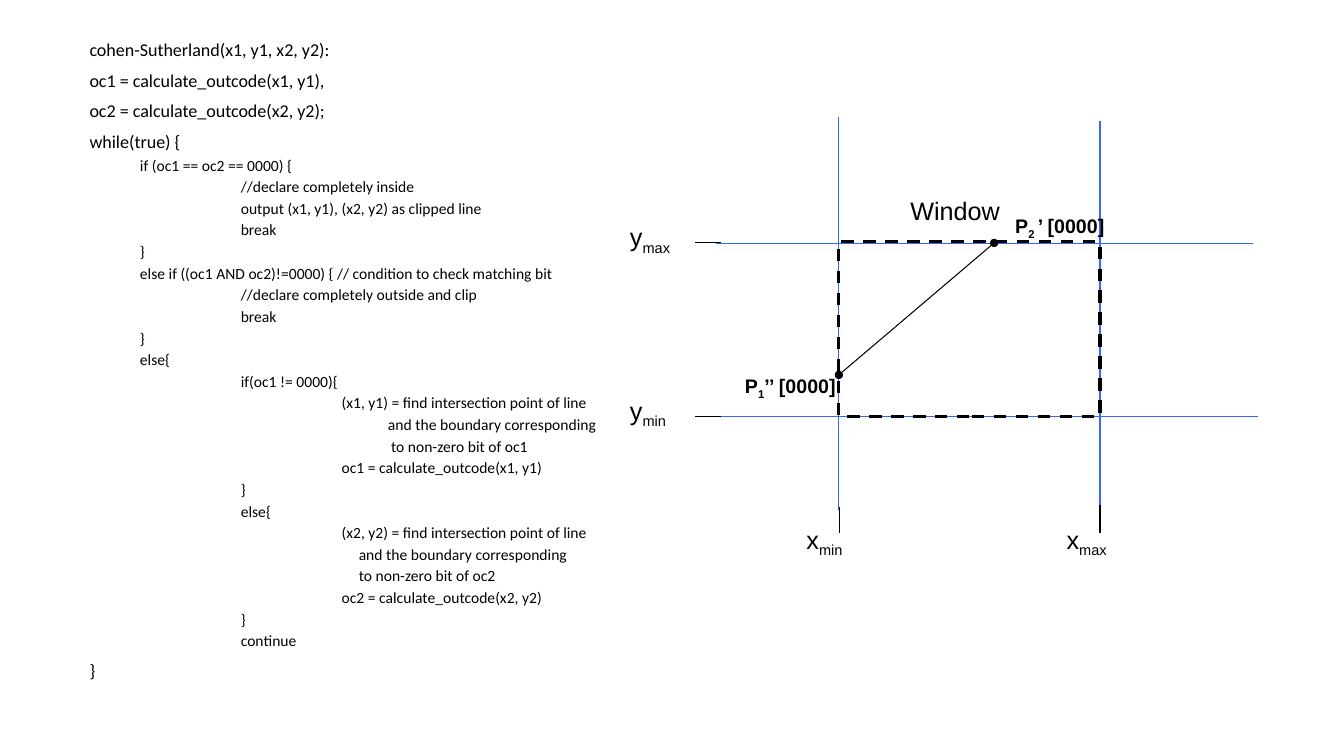
from dataclasses import dataclass

from lxml.etree import SubElement
from pptx import Presentation
from pptx.dml.color import RGBColor
from pptx.enum.dml import MSO_LINE
from pptx.enum.shapes import MSO_CONNECTOR, MSO_SHAPE
from pptx.enum.text import MSO_ANCHOR, PP_ALIGN
from pptx.oxml.ns import qn
from pptx.slide import Slide
from pptx.text.text import TextFrame
from pptx.util import Inches, Pt

COLORS = {"ink": "000000", "guide": "3366FF"}

# The grid has square cells: 133.3 columns by 75 rows.
CELL = 0.1
COLS, ROWS = 133.3, 75

# Edges of the clip window, in cells
LEFT, RIGHT, TOP, BASE = 83.2, 109.1, 24.1, 41.3


@dataclass
class Row:
    """One line of code; indent is in columns, and 0 means the outer level."""
    text: str
    indent: float = 0


@dataclass
class Line:
    x1: float
    y1: float
    x2: float
    y2: float
    color: str = "ink"
    dots: bool = False


@dataclass
class Label:
    """Parts of the text between bars are subscripts."""
    text: str
    x: float
    y: float
    width: float
    height: float = 4.5
    size: float = 18
    bold: bool = False


CODE = [
    Row("cohen-Sutherland(x1, y1, x2, y2):"),
    Row("oc1 = calculate_outcode(x1, y1),"),
    Row("oc2 = calculate_outcode(x2, y2);"),
    Row("while(true) {"),
    Row("if (oc1 == oc2 == 0000) {", 5),
    Row("//declare completely inside", 15),
    Row("output (x1, y1), (x2, y2) as clipped line", 15),
    Row("break", 15),
    Row("}", 5),
    Row("else if ((oc1 AND oc2)!=0000) { // condition to check matching bit", 5),
    Row("//declare completely outside and clip", 15),
    Row("break", 15),
    Row("}", 5),
    Row("else{", 5),
    Row("if(oc1 != 0000){", 15),
    Row("(x1, y1) = find intersection point of line", 25),
    Row("and the boundary corresponding", 29.6),
    Row("to non-zero bit of oc1", 29.9),
    Row("oc1 = calculate_outcode(x1, y1)", 25),
    Row("}", 15),
    Row("else{", 15),
    Row("(x2, y2) = find intersection point of line", 25),
    Row("and the boundary corresponding", 26.7),
    Row("to non-zero bit of oc2", 26.7),
    Row("oc2 = calculate_outcode(x2, y2)", 25),
    Row("}", 15),
    Row("continue", 15),
    Row("}"),
]

GUIDES = [
    Line(LEFT, 11.6, LEFT, 50.6, "guide"),
    Line(RIGHT, 12, RIGHT, 51, "guide"),
    Line(124.3, 24.2, 71, 24.2, "guide"),
    Line(124.8, BASE, 71.5, BASE, "guide"),
]

MARKS = [
    Line(71.5, TOP, 68.9, TOP),
    Line(71.5, BASE, 68.9, BASE),
    Line(83.3, 50.3, 83.3, 52.9),
    Line(RIGHT, 50.1, RIGHT, 52.9),
    Line(LEFT, 37.2, 98.6, TOP, dots=True),
]

LABELS = [
    Label("y|max", 61.5, 21.5, 7.3),
    Label("y|min", 61.5, 38.7, 6.7),
    Label("x|min", 79, 51.5, 6.7),
    Label("x|max", 104.8, 51.5, 7.3),
    Label("Window", 89.3, 18.9, 12.3),
    Label("P|2 |’ [0000]", 99.7, 20.7, 11.1, 3.4, 14, True),
    Label("P|1|’’ [0000]", 72.9, 36.6, 11.3, 3.4, 14, True),
]


def cells(count: float) -> int:
    return Inches(count * CELL)


def tint(name: str) -> RGBColor:
    return RGBColor.from_string(COLORS[name])


def frame(slide: Slide, x: float, y: float, width: float, height: float,
          wrap: bool) -> TextFrame:
    box = slide.shapes.add_textbox(*map(cells, (x, y, width, height)))
    box.text_frame.word_wrap = wrap
    box.text_frame.vertical_anchor = MSO_ANCHOR.TOP
    return box.text_frame


def write(body: TextFrame, text: str, *, font: str, size: float,
          bold: bool = False, indent: float = 0, before: float = 0,
          pitch: float = 1) -> None:
    """Add a paragraph, filling the empty first one before adding others."""
    first = body.paragraphs[0]
    para = body.add_paragraph() if first.runs else first
    para.alignment = PP_ALIGN.LEFT
    para.space_before = Pt(before)
    para.line_spacing = pitch
    props = para._p.get_or_add_pPr()
    props.set("marL", str(cells(indent)))
    props.set("indent", "0")
    for place, part in enumerate(text.split("|")):
        run = para.add_run()
        run.text = part
        run.font.name = font
        run.font.size = Pt(size)
        run.font.bold = bold
        run.font.color.rgb = tint("ink")
        if place % 2:
            run._r.get_or_add_rPr().set("baseline", "-25000")


def draw(slide: Slide, line: Line) -> None:
    ends = map(cells, (line.x1, line.y1, line.x2, line.y2))
    shape = slide.shapes.add_connector(MSO_CONNECTOR.STRAIGHT, *ends)
    shape.line.color.rgb = tint(line.color)
    shape.line.width = Pt(0.75)
    props = shape._element.spPr
    if line.dots:
        for end in ("a:headEnd", "a:tailEnd"):
            SubElement(props.find(qn("a:ln")), qn(end), type="oval")
    SubElement(props, qn("a:effectLst"))


def clip(slide: Slide) -> None:
    """Draw the dashed clip window."""
    area = map(cells, (LEFT, 24, RIGHT - LEFT, BASE - 24))
    shape = slide.shapes.add_shape(MSO_SHAPE.RECTANGLE, *area)
    shape.shadow.inherit = False
    shape.fill.background()
    shape.line.color.rgb = tint("ink")
    shape.line.width = Pt(2.25)
    shape.line.dash_style = MSO_LINE.DASH


def main() -> None:
    deck = Presentation()
    deck.slide_width, deck.slide_height = cells(COLS), cells(ROWS)
    slide = deck.slides.add_slide(deck.slide_layouts[6])

    code = frame(slide, 7.9, 3.7, 55.4, 64.9, wrap=True)
    for row in CODE:
        size, gap = (11.1, 4.8) if row.indent else (12.9, 9.7)
        write(code, row.text, font="Calibri", size=size, indent=row.indent,
              before=gap, pitch=0.8)

    for line in GUIDES:
        draw(slide, line)
    clip(slide)
    for line in MARKS:
        draw(slide, line)
    for label in LABELS:
        body = frame(slide, label.x, label.y, label.width, label.height, wrap=False)
        write(body, label.text, font="Arial", size=label.size, bold=label.bold)

    deck.save("out.pptx")


if __name__ == "__main__":
    main()
